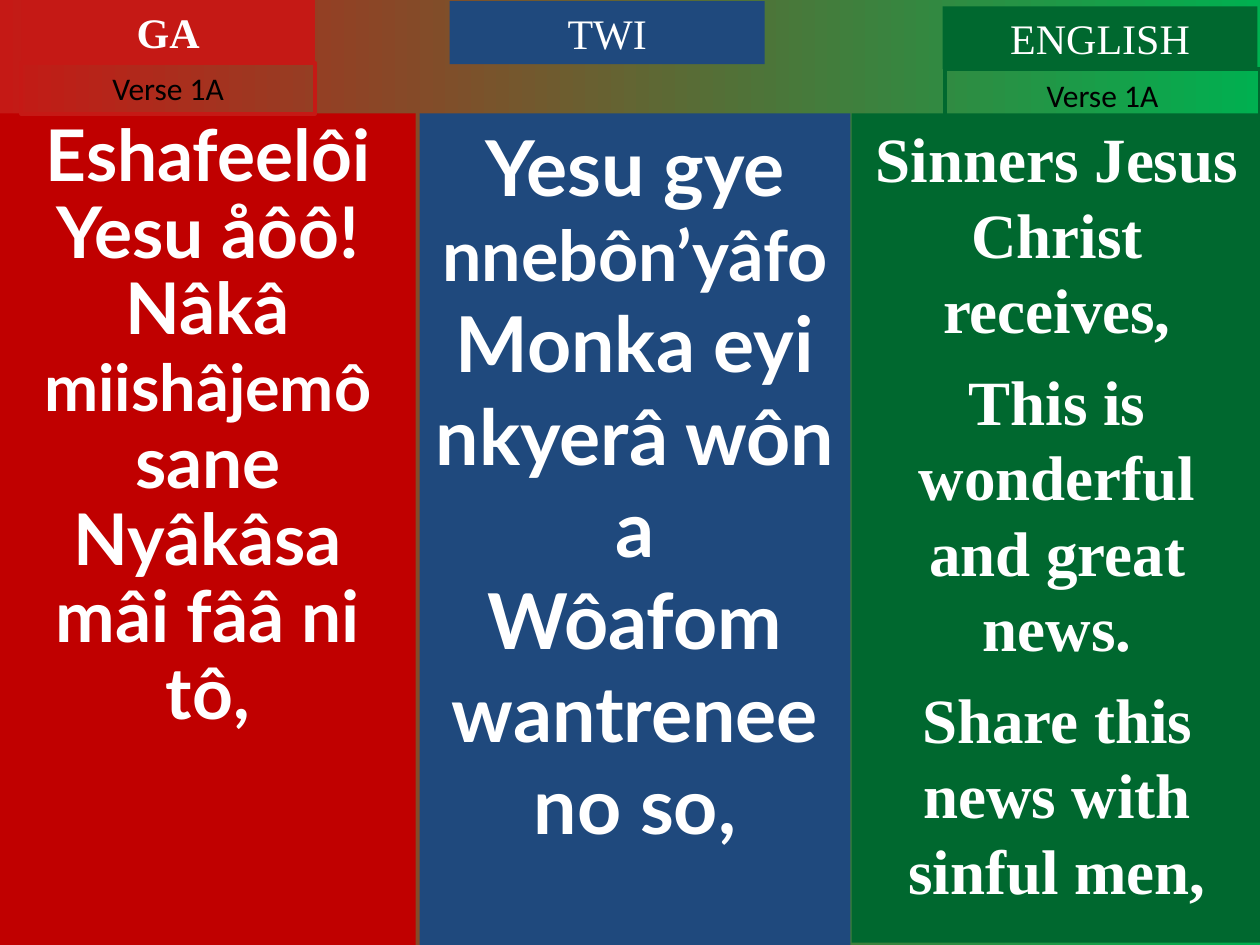
from pptx import Presentation
from pptx.dml.color import RGBColor
from pptx.enum.shapes import MSO_SHAPE
from pptx.enum.text import MSO_ANCHOR, MSO_AUTO_SIZE, PP_ALIGN
from pptx.util import Pt

RED, DARK_RED = "C51915", "C00000"
BLUE, GREEN = "1F497D", "00682F"
WHITE, BLACK = "FFFFFF", "000000"
SERIF, SANS, PLAIN = "Times New Roman", "Lato", "Calibri"
PANEL_TOP = 64.8


def color(hex_value):
    return RGBColor.from_string(hex_value)


def paint_background(page, start, end):
    fill = page.background.fill
    fill.gradient()
    fill.gradient_angle = 0
    for stop, hex_value in zip(fill.gradient_stops, (start, end)):
        stop.color.rgb = color(hex_value)


def add_box(page, left, top, width, height, fill=None, line=None):
    box = page.shapes.add_shape(
        MSO_SHAPE.RECTANGLE, Pt(left), Pt(top), Pt(width), Pt(height))
    box.shadow.inherit = False
    if fill:
        box.fill.solid()
        box.fill.fore_color.rgb = color(fill)
    else:
        box.fill.background()
    if line:
        box.line.color.rgb = color(line)
        box.line.width = Pt(2.25)
    else:
        box.line.fill.background()
    frame = box.text_frame
    frame.word_wrap = True
    frame.vertical_anchor = MSO_ANCHOR.TOP
    return box


def write(box, paragraphs, font, ink=WHITE, bold=False, spacing=1.0, gap=0):
    """Fill the box with centred paragraphs, each a list of (text, size) spans."""
    frame = box.text_frame
    for index, spans in enumerate(paragraphs):
        para = frame.add_paragraph() if index else frame.paragraphs[0]
        para.alignment = PP_ALIGN.CENTER
        para.line_spacing = spacing
        para.space_before = Pt(gap if index else 0)
        for text, size in spans:
            span = para.add_run()
            span.text = text
            span.font.name = font
            span.font.size = Pt(size)
            span.font.bold = bold
            span.font.color.rgb = color(ink)


def add_heading(page, text, left, top, width, fill, bold=False):
    box = add_box(page, left, top, width, 36, fill=fill)
    box.text_frame.auto_size = MSO_AUTO_SIZE.SHAPE_TO_FIT_TEXT
    write(box, [[(text, 24)]], SERIF, bold=bold)


def add_verse_label(page, text, left, top, width, line):
    box = add_box(page, left, top, width, 29, line=line)
    box.text_frame.auto_size = MSO_AUTO_SIZE.SHAPE_TO_FIT_TEXT
    write(box, [[(text, 18)]], PLAIN, ink=BLACK)


def main():
    deck = Presentation()
    deck.slide_width, deck.slide_height = Pt(720), Pt(540)
    page = deck.slides.add_slide(deck.slide_layouts[6])
    paint_background(page, RED, "00B050")

    ga_panel = add_box(page, 0, PANEL_TOP, 237.6, 475.2, fill=DARK_RED)
    write(ga_panel, [
        [("Eshafeelôi Yesu åôô!", 40.7)],
        [("Nâkâ ", 40.7), ("miishâjemô", 37), (" sane", 40.7)],
        [("Nyâkâsa mâi fââ ni tô,", 40.7)],
    ], SANS, bold=True, spacing=0.9)

    twi_panel = add_box(page, 239.8, PANEL_TOP, 246.2, 475.2, fill=BLUE)
    write(twi_panel, [
        [("Yesu gye ", 44), ("nnebôn’yâfo", 40)],
        [("Monka eyi nkyerâ wôn a", 44)],
        [("Wôafom wantrenee no so,", 44)],
    ], SANS, bold=True)

    add_heading(page, "GA", 12.2, 0, 167.8, RED, bold=True)
    add_heading(page, "TWI", 257, 0.7, 180, BLUE)
    add_verse_label(page, "Verse 1A", 12.2, 36, 167.8, RED)

    english_panel = add_box(page, 486.7, PANEL_TOP, 234.7, 473.8, fill=GREEN)
    write(english_panel, [
        [("Sinners Jesus Christ receives,", 36)],
        [("This is wonderful and great news.", 36)],
        [("Share this news with sinful men,", 36)],
    ], SERIF, bold=True, gap=9)

    add_heading(page, "ENGLISH", 538.6, 3.6, 180, GREEN)
    add_verse_label(page, "Verse 1A", 540, 39.6, 180, GREEN)

    deck.save("out.pptx")


if __name__ == "__main__":
    main()
